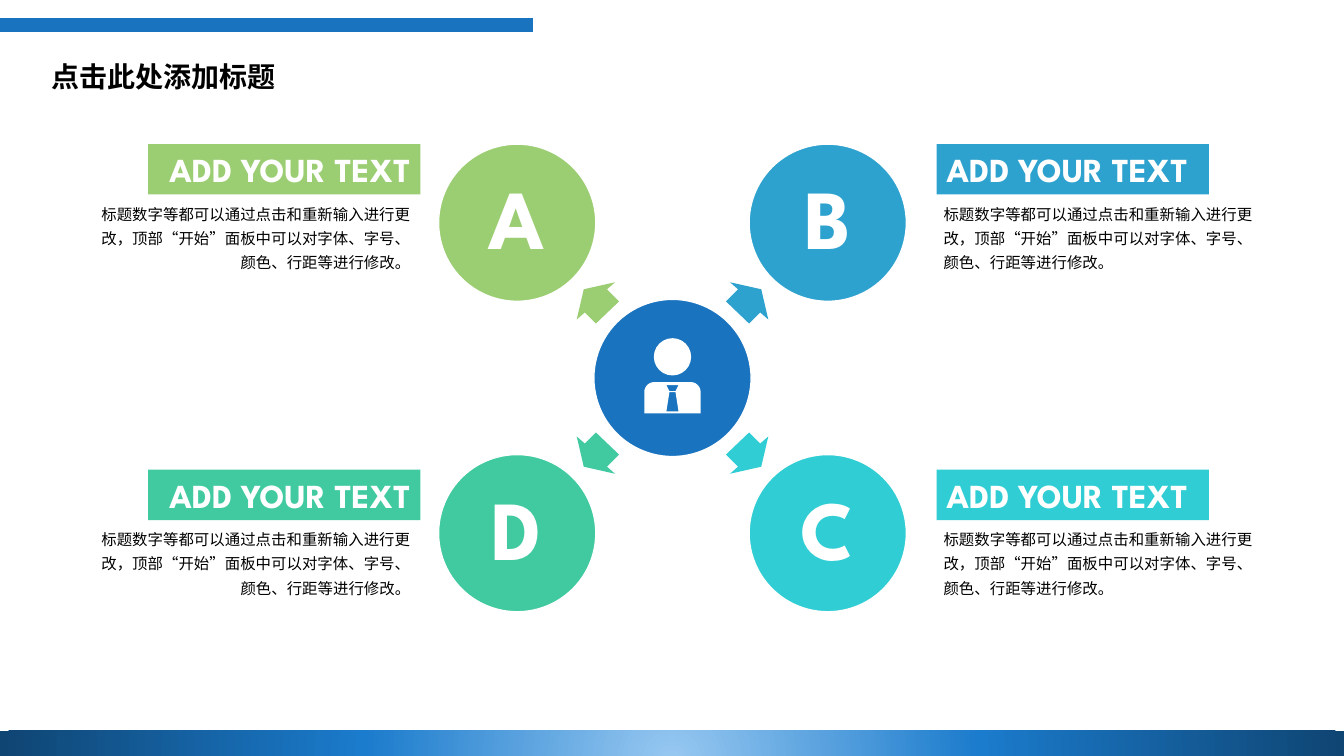
import math

import pptx
import pptx.dml.color
import pptx.enum.shapes
import pptx.enum.text
import pptx.oxml
import pptx.oxml.ns
import pptx.util
from pptx.util import Inches

TITLE = "点击此处添加标题"
HEADING = "ADD YOUR TEXT"
BODY = "标题数字等都可以通过点击和重新输入进行更改，顶部“开始”面板中可以对字体、字号、颜色、行距等进行修改。"
# letter, colour, horizontal side, vertical side
OPTIONS = [
    ("A", "9BCD72", -1, -1),
    ("B", "2EA2CF", 1, -1),
    ("C", "30CED4", 1, 1),
    ("D", "41CAA0", -1, 1),
]
FONT = "League Spartan"
BLUE, WHITE, BLACK = "1973BF", "FFFFFF", "000000"
FOOTER_GRADIENT = [(0, "97C8F1"), (46, "1B7BCC"), (100, "0F4573")]

WIDTH, HEIGHT = 13.33, 7.5
CENTER_X, CENTER_Y = 6.67, 3.75
DIAMETER, REACH = 1.56, 1.54
# Arrow outline as distances from the centre
ARROW = [(0.53, 0.76), (0.65, 0.88), (0.57, 0.95), (0.88, 0.88),
         (0.95, 0.58), (0.87, 0.65), (0.76, 0.54)]
TIE_KNOT = [(6.61, 3.82), (6.73, 3.82), (6.7, 3.88), (6.64, 3.88)]
TIE = [(6.64, 3.89), (6.7, 3.89), (6.73, 4.08), (6.61, 4.08)]

ALIGN = pptx.enum.text.PP_ALIGN
ANCHOR = pptx.enum.text.MSO_ANCHOR
AUTO_SIZE = pptx.enum.text.MSO_AUTO_SIZE
SHAPE = pptx.enum.shapes.MSO_SHAPE


def color(value):
    return pptx.dml.color.RGBColor.from_string(value)


def paint(shape, fill, outline=None):
    shape.shadow.inherit = False
    shape.fill.solid()
    shape.fill.fore_color.rgb = color(fill)
    if outline:
        shape.line.color.rgb = color(outline)
        shape.line.width = pptx.util.Pt(1)
    else:
        shape.line.fill.background()


def add_preset(kind, left, top, width, height, fill, outline=None):
    shape = slide.shapes.add_shape(
        kind, Inches(left), Inches(top), Inches(width), Inches(height))
    paint(shape, fill, outline)
    return shape


def add_circle(x, y, diameter, fill, outline=None):
    return add_preset(SHAPE.OVAL, x - diameter / 2, y - diameter / 2,
                      diameter, diameter, fill, outline)


def add_outline(contours, fill):
    contours = [[(Inches(x), Inches(y)) for x, y in points] for points in contours]
    builder = slide.shapes.build_freeform(*contours[0][0])
    for number, points in enumerate(contours):
        if number:
            builder.move_to(*points[0])
        builder.add_line_segments(points[1:], close=True)
    paint(builder.convert_to_shape(), fill)


def set_text(shape, text, size, fill, align=ALIGN.LEFT, bold=False,
             anchor=ANCHOR.TOP, wrap=True, spacing=None, grow=False):
    frame = shape.text_frame
    frame.text = text
    frame.word_wrap = wrap
    frame.vertical_anchor = anchor
    frame.auto_size = AUTO_SIZE.SHAPE_TO_FIT_TEXT if grow else AUTO_SIZE.NONE
    paragraph = frame.paragraphs[0]
    paragraph.alignment = align
    paragraph.line_spacing = spacing
    font = paragraph.runs[0].font
    font.name, font.size, font.bold = FONT, pptx.util.Pt(size), bold
    font.color.rgb = color(fill)


presentation = pptx.Presentation()
presentation.slide_width = Inches(WIDTH)
presentation.slide_height = Inches(HEIGHT)
slide = presentation.slides.add_slide(presentation.slide_layouts[5])

# Title
title = slide.shapes.title
title.left, title.top, title.width, title.height = map(Inches, (0.41, 0.49, 4.88, 0.58))
set_text(title, TITLE, 20, BLACK, bold=True, anchor=ANCHOR.MIDDLE, spacing=0.9)

# Top rule
rule = slide.shapes.add_connector(
    pptx.enum.shapes.MSO_CONNECTOR.STRAIGHT, 0, Inches(0.25), Inches(5.29), Inches(0.25))
rule.line.color.rgb = color(BLUE)
rule.line.width = pptx.util.Pt(10)
rule_properties = rule._element.spPr
rule_properties.append(pptx.oxml.parse_xml(
    "<a:effectLst %s/>" % pptx.oxml.ns.nsdecls("a")))

# Footer band with a radial gradient
footer = add_preset(SHAPE.RECTANGLE, 0, 7.25, WIDTH, 0.29, BLUE)
stops = "".join(f'<a:gs pos="{position * 1000}"><a:srgbClr val="{value}"/></a:gs>'
                for position, value in FOOTER_GRADIENT)
gradient = pptx.oxml.parse_xml(
    f'<a:gradFill {pptx.oxml.ns.nsdecls("a")} rotWithShape="1"><a:gsLst>{stops}</a:gsLst>'
    '<a:path path="circle"><a:fillToRect l="50000" t="130000" r="50000" b="-30000"/>'
    '</a:path></a:gradFill>')
footer_properties = footer._element.spPr
solid = footer_properties.find(pptx.oxml.ns.qn("a:solidFill"))
footer_properties.replace(solid, gradient)

# Centre circle with a person icon
add_circle(CENTER_X, CENTER_Y, DIAMETER, BLUE, WHITE)
add_circle(CENTER_X, 3.54, 0.37, WHITE)
radius = 0.1
body = [(6.95, 4.1), (6.39, 4.1)]
for corner_x, start in ((6.49, 180), (6.85, 270)):
    for angle in range(start, start + 91, 15):
        body.append((corner_x + radius * math.cos(math.radians(angle)),
                     3.89 + radius * math.sin(math.radians(angle))))
add_outline([body, TIE_KNOT, TIE], WHITE)

# Four options: arrow, lettered circle, heading and description
for letter, fill, side_x, side_y in OPTIONS:
    add_outline([[(CENTER_X + side_x * x, CENTER_Y + side_y * y) for x, y in ARROW]], fill)

    circle = add_circle(CENTER_X + side_x * REACH, CENTER_Y + side_y * REACH,
                        DIAMETER, fill, WHITE)
    set_text(circle, letter, 60, WHITE, ALIGN.CENTER, bold=True,
             anchor=ANCHOR.MIDDLE, wrap=False, spacing=0.9)

    on_left = side_x < 0
    align = ALIGN.RIGHT if on_left else ALIGN.LEFT
    top = 1.43 if side_y < 0 else 4.66
    description = slide.shapes.add_textbox(
        Inches(0.79 if on_left else 9.26), Inches(top + 0.5), Inches(3.38), Inches(0.82))
    set_text(description, BODY, 11, BLACK, align, spacing=1.3, grow=True)
    heading = add_preset(SHAPE.RECTANGLE, 1.47 if on_left else 9.29, top, 2.7, 0.5, fill)
    set_text(heading, HEADING, 24, WHITE, align, bold=True, wrap=False, grow=True)

presentation.save("out.pptx")
